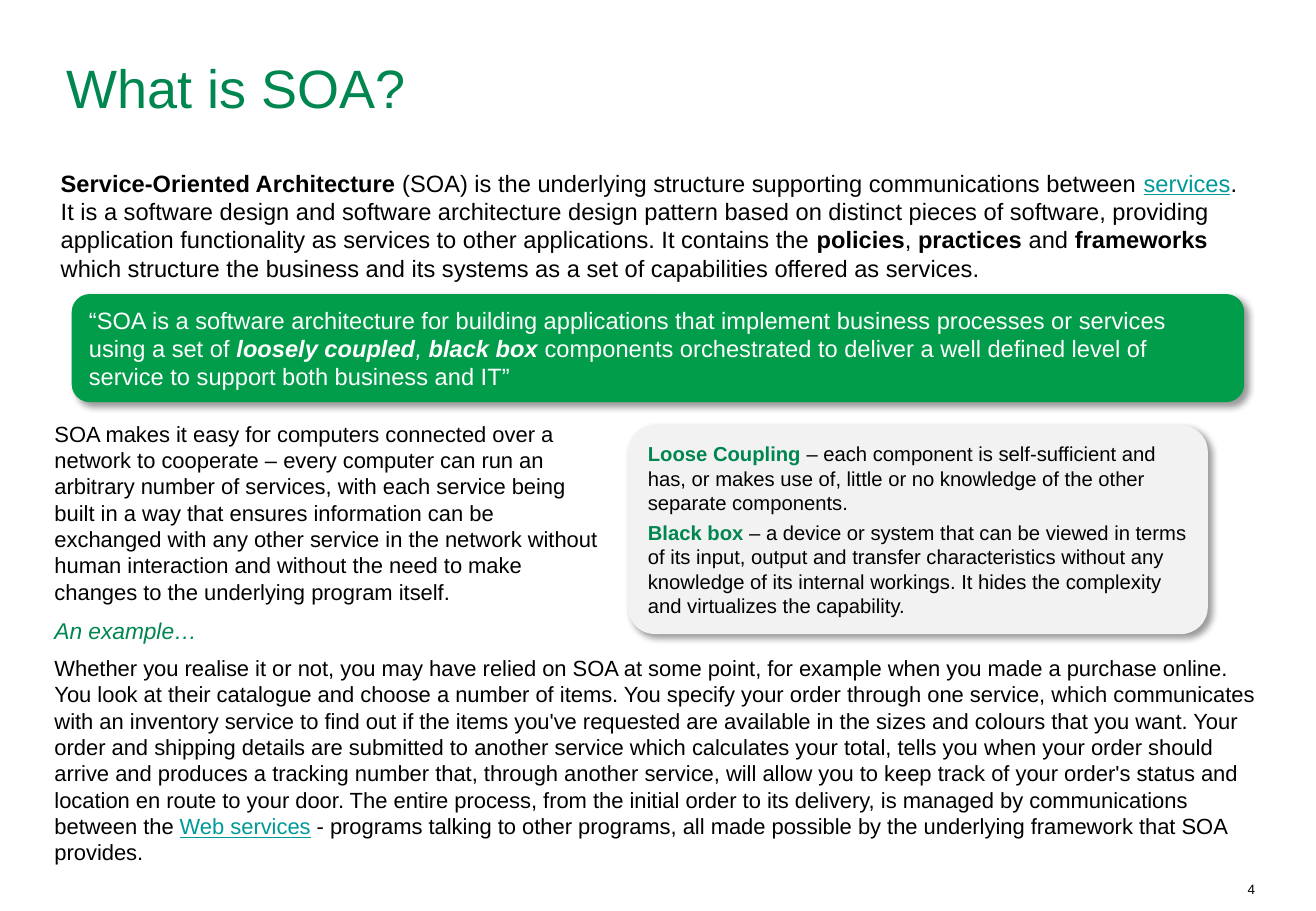
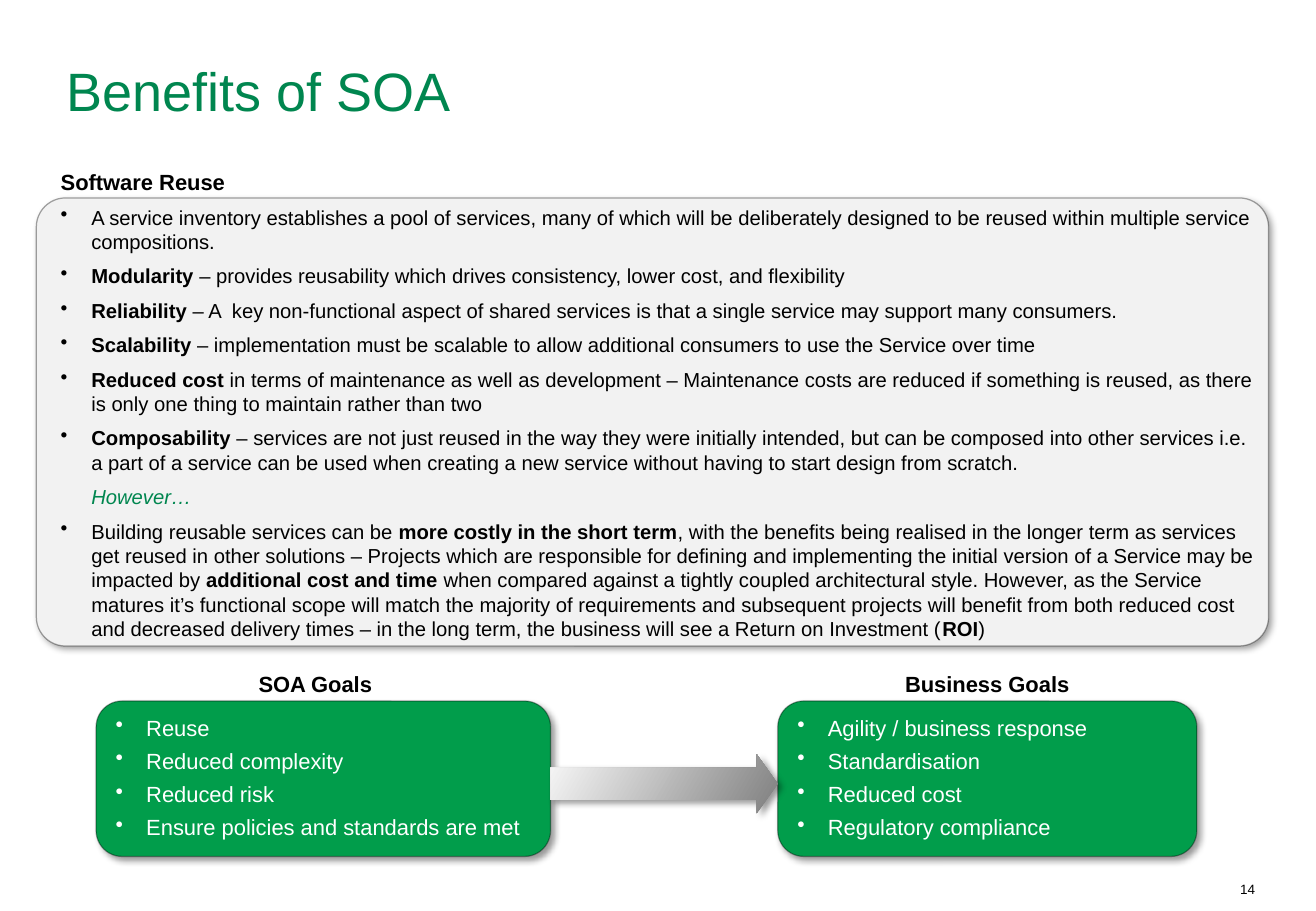
from lxml import etree
from pptx import Presentation
from pptx.dml.color import RGBColor
from pptx.enum import shapes, text
from pptx.oxml import ns
from pptx.util import Cm, Pt

BLACK, WHITE, LINK = "000000", "FFFFFF", "009999"
GREEN, DARK_GREEN, GREY = "019D4B", "00864F", "F2F2F2"
BOLD = {"bold": True}
ITALIC = {"italic": True}
BOLD_ITALIC = BOLD | ITALIC
LINKED = {"underline": True, "color": LINK}
TERM = {"bold": True, "color": DARK_GREEN}
ASIDE = {"italic": True, "color": DARK_GREEN}
ROUNDED = shapes.MSO_SHAPE.ROUNDED_RECTANGLE


def write(shape, paragraph, size=13, color=BLACK, bold=False, italic=False, align="LEFT",
          after=0, bullet=False, indent=False, anchor="TOP", wrap=True):
    """Add one paragraph; its parts are strings or (string, format) pairs."""
    frame = shape.text_frame
    frame.word_wrap = wrap
    frame.vertical_anchor = text.MSO_ANCHOR[anchor]
    line = frame.paragraphs[0]
    if line.runs:
        line = frame.add_paragraph()
    line.alignment = text.PP_ALIGN[align]
    line.space_after = Pt(after)
    properties = line._p.get_or_add_pPr()
    if bullet or indent:
        properties.set("marL", str(Cm(0.64)))
        properties.set("indent", str(Cm(-0.64 if bullet else 0)))
    if bullet:
        etree.SubElement(properties, ns.qn("a:buChar")).set("char", "•")
    for part in [paragraph] if isinstance(paragraph, str) else paragraph:
        words, style = (part, {}) if isinstance(part, str) else part
        run = line.add_run()
        run.text = words
        run.font.name = "Arial"
        run.font.size = Pt(size)
        run.font.bold = style.get("bold", bold)
        run.font.italic = style.get("italic", italic)
        run.font.underline = style.get("underline", False)
        run.font.color.rgb = RGBColor.from_string(style.get("color", color))


def add_panel(slide, place, fill, kind=ROUNDED, adjust=(), outlined=False):
    """Add a preset shape with the soft shadow that all panels share."""
    panel = slide.shapes.add_shape(kind, *map(Cm, place))
    for index, value in enumerate(adjust):
        panel.adjustments[index] = value
    panel.fill.solid()
    panel.fill.fore_color.rgb = RGBColor.from_string(fill)
    panel.line.fill.background()
    if outlined:
        panel.line.width = Pt(0.75)
        panel.line.color.rgb = RGBColor.from_string(BLACK)
        outline = panel.line._ln.find(".//" + ns.qn("a:srgbClr"))
        etree.SubElement(outline, ns.qn("a:alpha")).set("val", "35000")
    panel.shadow.inherit = False
    effects = panel._element.spPr.find(ns.qn("a:effectLst"))
    shadow = etree.SubElement(effects, ns.qn("a:outerShdw"), blurRad=str(Pt(4)),
                              dist=str(Pt(3)), dir="2700000", algn="tl", rotWithShape="0")
    shade = etree.SubElement(shadow, ns.qn("a:srgbClr"), val=BLACK)
    etree.SubElement(shade, ns.qn("a:alpha"), val="40000")
    return panel


deck = Presentation()
deck.slide_width, deck.slide_height = Cm(27.51), Cm(19.05)

# Title and page number of each slide
pages = []
for heading, number, top in [("What is SOA?", "4", 1.02), ("Benefits of SOA", "14", 1.07)]:
    page = deck.slides.add_slide(deck.slide_layouts[6])
    title = page.shapes.add_textbox(Cm(1.14), Cm(top), Cm(22.25), Cm(2.46))
    write(title, heading, size=32, color=DARK_GREEN)
    footer = page.shapes.add_textbox(Cm(20.17), Cm(18.42), Cm(6.07), Cm(0.48))
    frame = footer.text_frame
    frame.margin_left = frame.margin_right = frame.margin_top = frame.margin_bottom = 0
    write(footer, number, size=8, align="RIGHT")
    pages.append(page)
definition, benefits = pages

# What is SOA?
intro = definition.shapes.add_textbox(Cm(1.02), Cm(3.4), Cm(25.63), Cm(2.64))
write(intro, [
    ("Service-Oriented Architecture ", BOLD),
    "(SOA) is the underlying structure supporting communications between ",
    ("services", LINKED), "."], size=14)
write(intro, [
    "It is a software design and software architecture design pattern based on distinct pieces "
    "of software, providing application functionality as services to other applications. "
    "It contains the ",
    ("policies", BOLD), ", ", ("practices", BOLD), " and ", ("frameworks", BOLD),
    " which structure the business and its systems as a set of capabilities offered as services.",
], size=14)

quote = add_panel(definition, (1.5, 6.15, 24.51, 2.26), GREEN)
write(quote, [
    "“SOA is a software architecture for building applications that implement business "
    "processes or services using a set of ",
    ("loosely coupled", BOLD_ITALIC), (", ", ITALIC), ("black box ", BOLD_ITALIC),
    "components orchestrated to deliver a well defined level of service to support both "
    "business and IT”"], size=14, color=WHITE, anchor="MIDDLE")

glossary = add_panel(definition, (13.13, 8.89, 12.12, 4.37), GREY, adjust=[0.129])
for term, meaning, gap in [
    ("Loose Coupling ", "– each component is self-sufficient and has, or makes use of, little or "
     "no knowledge of the other separate components.", 3.5),
    ("Black box ", "– a device or system that can be viewed in terms of its input, output and "
     "transfer characteristics without any knowledge of its internal workings. It hides the "
     "complexity and virtualizes the capability.", 0),
]:
    write(glossary, [(term, TERM), meaning], size=12, after=gap, anchor="MIDDLE")

cooperation = definition.shapes.add_textbox(Cm(0.89), Cm(8.66), Cm(11.99), Cm(4.29))
write(cooperation,
      "SOA makes it easy for computers connected over a network to cooperate – every computer can "
      "run an arbitrary number of services, with each service being built in a way that ensures "
      "information can be exchanged with any other service in the network without human "
      "interaction and without the need to make changes to the underlying program itself.")

example = definition.shapes.add_textbox(Cm(0.89), Cm(12.78), Cm(25.63), Cm(5.49))
write(example, [("An example…", ASIDE)], size=13.5, after=6)
write(example, [
    "Whether you realise it or not, you may have relied on SOA at some point, for example when "
    "you made a purchase online. You look at their catalogue and choose a number of items. You "
    "specify your order through one service, which communicates with an inventory service to "
    "find out if the items you've requested are available in the sizes and colours that you "
    "want. Your order and shipping details are submitted to another service which calculates "
    "your total, tells you when your order should arrive and produces a tracking number that, "
    "through another service, will allow you to keep track of your order's status and location "
    "en route to your door. The entire process, from the initial order to its delivery, is "
    "managed by communications between the ",
    ("Web services", LINKED),
    " - programs talking to other programs, all made possible by the underlying framework that "
    "SOA provides."])

# Benefits of SOA
add_panel(benefits, (0.76, 4.14, 25.76, 9.37), GREY, adjust=[0.065], outlined=True)
reuse = benefits.shapes.add_textbox(Cm(1.02), Cm(3.4), Cm(25.5), Cm(10.21))
write(reuse, "Software Reuse", bold=True, after=6)
for point in [
    ["A service inventory establishes a pool of services, many of which will be deliberately "
     "designed to be reused within multiple service compositions."],
    [("Modularity ", BOLD),
     "– provides reusability which drives consistency, lower cost, and flexibility"],
    [("Reliability", BOLD),
     " – A  key non-functional aspect of shared services is that a single service may support "
     "many consumers."],
    [("Scalability", BOLD),
     " – implementation must be scalable to allow additional consumers to use the Service over "
     "time"],
    [("Reduced cost", BOLD),
     " in terms of maintenance as well as development – Maintenance costs are reduced if "
     "something is reused, as there is only one thing to maintain rather than two"],
    [("Composability", BOLD),
     " – services are not just reused in the way they were initially intended, but can be "
     "composed into other services i.e. a part of a service can be used when creating a new "
     "service without having to start design from scratch."],
]:
    write(reuse, point, size=12, after=6, bullet=True)
write(reuse, [("However…", ASIDE)], size=12, after=6, indent=True)
write(reuse, [
    "Building reusable services can be ", ("more costly in the short term", BOLD),
    ", with the benefits being realised in the longer term as services get reused in other "
    "solutions – Projects which are responsible for defining and implementing the initial "
    "version of a Service may be impacted by ", ("additional cost and time ", BOLD),
    "when compared against a tightly coupled architectural style. However, as the Service "
    "matures it’s functional scope will match the majority of requirements and subsequent "
    "projects will benefit from both reduced cost and decreased delivery times – in the long "
    "term, the business will see a Return on Investment (", ("ROI", BOLD), ")",
], size=12, after=6, bullet=True)

for label, label_left, label_width, left, width, goals in [
    ("SOA Goals", 5.13, 2.92, 2.01, 9.5,
     ["Reuse", "Reduced complexity", "Reduced risk", "Ensure policies and standards are met"]),
    ("Business Goals", 18.64, 3.99, 16.26, 8.76,
     ["Agility / business response", "Standardisation", "Reduced cost", "Regulatory compliance"]),
]:
    goal_panel = add_panel(benefits, (left, 14.66, width, 3.25), GREEN, outlined=True)
    for goal in goals:
        write(goal_panel, goal, color=WHITE, after=4, bullet=True)
    caption = benefits.shapes.add_textbox(Cm(label_left), Cm(13.89), Cm(label_width), Cm(0.81))
    write(caption, label, bold=True, align="CENTER", wrap=False)

arrow = add_panel(benefits, (11.51, 15.77, 4.75, 1.24), GREY,
                  kind=shapes.MSO_SHAPE.RIGHT_ARROW, adjust=[0.546, 0.356])
arrow.fill.gradient()
arrow.fill.gradient_angle = 150
for stop, shade in zip(arrow.fill.gradient_stops, ["808080", "F7F7F7"]):
    stop.color.rgb = RGBColor.from_string(shade)

deck.save("out.pptx")
